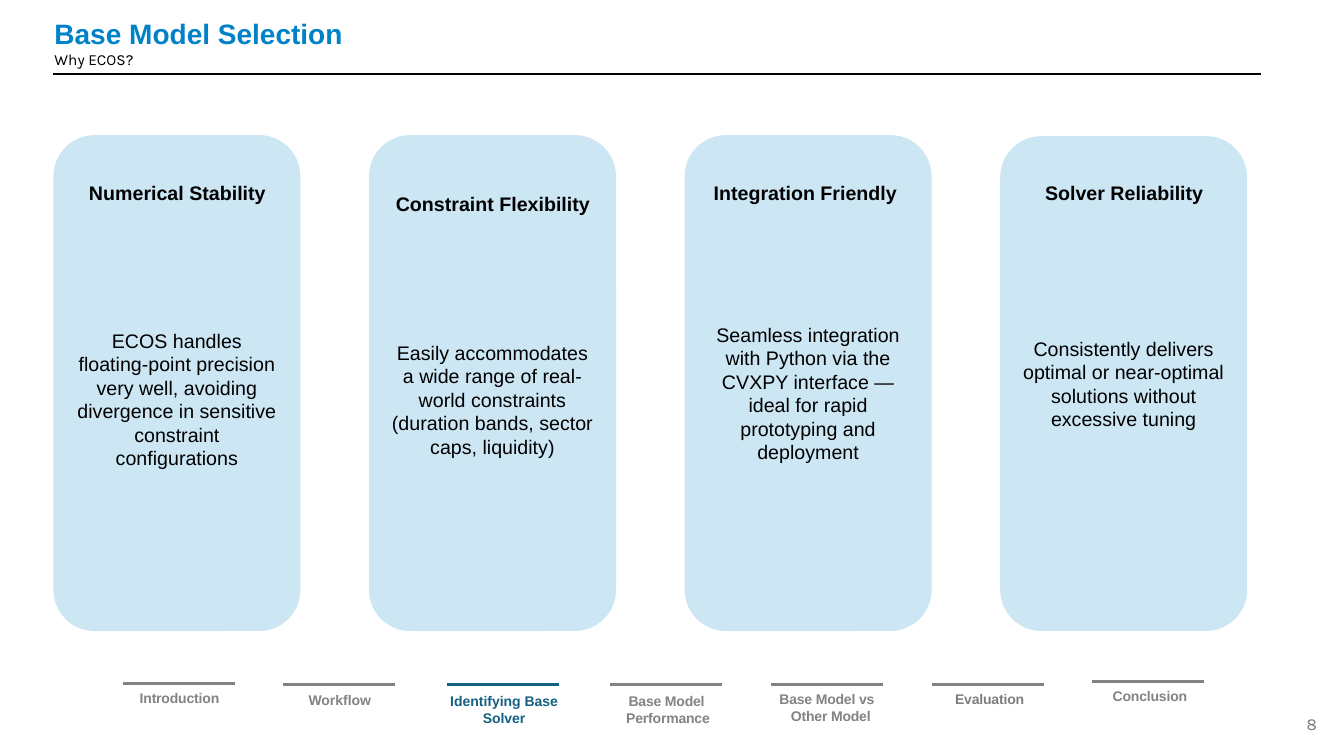
from lxml import etree
from pptx import Presentation
from pptx.dml.color import RGBColor
from pptx.enum.shapes import MSO_CONNECTOR, MSO_SHAPE
from pptx.enum.text import MSO_ANCHOR, MSO_AUTO_SIZE, PP_ALIGN
from pptx.oxml.ns import qn
from pptx.util import Inches, Pt

ROUNDED = MSO_SHAPE.ROUNDED_RECTANGLE
STRAIGHT = MSO_CONNECTOR.STRAIGHT
TOP, MIDDLE, BOTTOM = MSO_ANCHOR.TOP, MSO_ANCHOR.MIDDLE, MSO_ANCHOR.BOTTOM
GROW, FIXED = MSO_AUTO_SIZE.SHAPE_TO_FIT_TEXT, MSO_AUTO_SIZE.NONE
LEFT, CENTER, RIGHT = PP_ALIGN.LEFT, PP_ALIGN.CENTER, PP_ALIGN.RIGHT

BLACK = RGBColor(0x00, 0x00, 0x00)
BLUE = RGBColor(0x00, 0x82, 0xC8)
TEAL = RGBColor(0x15, 0x60, 0x82)
GRAY = RGBColor(0x83, 0x83, 0x83)
EVALUATION_GRAY = RGBColor(0x7E, 0x7E, 0x7E)
PAGE_GRAY = RGBColor(0x79, 0x79, 0x79)

CARD_LEFT, CARD_PITCH, CARD_WIDTH, CARD_BOTTOM = 0.53, 3.13, 2.45, 6.26
STEP_WIDTH = 1.11

CARDS = [
    (1.34, 1.80, "ECOS handles floating-point precision very well, avoiding "
     "divergence in sensitive constraint configurations",
     (0.64, 1.75, 2.24, 0.34), 1, "Numerical Stability"),
    (1.34, 1.92, "Easily accommodates a wide range of real-world constraints "
     "(duration bands, sector caps, liquidity)",
     (3.78, 1.62, 2.22, 0.5), 2, "Constraint Flexibility"),
    (1.34, 1.74, "Seamless integration with Python via the CVXPY interface — "
     "ideal for rapid prototyping and deployment",
     (6.79, 1.75, 2.45, 0.34), 1, "Integration Friendly "),
    (1.35, 1.87, "Consistently delivers optimal or near-optimal solutions "
     "without excessive tuning",
     (10.14, 1.75, 2.02, 0.34), 1, "Solver Reliability"),
]

STEPS = [
    (1.22, 6.78, (1.22, 6.83, 1.11, 0.18), 0.02, -0.01, -10, GRAY, GRAY, "Introduction"),
    (2.81, 6.79, (2.81, 6.85, 1.11, 0.18), 0.01, 0, 0, GRAY, GRAY, "Workflow"),
    (4.43, 6.79, (4.41, 6.86, 1.17, 0.35), 0.01, 0, 0, TEAL, TEAL, "Identifying Base Solver"),
    (6.05, 6.79, (6.05, 6.86, 1.11, 0.35), 0.04, -0.03, -10, GRAY, GRAY,
     "Base Model Performance"),
    (7.65, 6.79, (7.64, 6.84, 1.11, 0.35), 0.09, -0.08, -10, GRAY, GRAY,
     "Base Model vs Other Model"),
    (9.24, 6.79, (9.27, 6.84, 1.08, 0.18), 0.01, 0, -10, GRAY, EVALUATION_GRAY, "Evaluation"),
    (10.83, 6.76, (10.86, 6.81, 1.08, 0.18), 0.09, -0.08, -10, GRAY, GRAY, "Conclusion"),
]


def apply(target, formats):
    """Set each named format value on the target."""
    for name, value in formats.items():
        setattr(target, name, value)


class SlideBuilder:
    """Draws styled elements on the current slide."""

    def __init__(self, slide):
        self.slide = slide

    def styled_run(self, paragraph, text, size, color, bold=False, font="Arial", spacing=0):
        """Add one styled run to a paragraph."""
        run = paragraph.add_run()
        run.text = text
        apply(run.font, {"size": Pt(size), "bold": bold, "name": font})
        run.font.color.rgb = color
        if spacing:
            run._r.get_or_add_rPr().set("spc", str(spacing))

    def text_box(self, box, frame_formats, paragraph_formats, margin=0, indent=0):
        """Add a text box and return its paragraph."""
        frame = self.slide.shapes.add_textbox(*map(Inches, box)).text_frame
        apply(frame, {"word_wrap": True, "auto_size": GROW, **frame_formats})
        paragraph = frame.paragraphs[0]
        apply(paragraph, paragraph_formats)
        properties = paragraph._p.get_or_add_pPr()
        properties.set("marL", str(Inches(margin)))
        properties.set("indent", str(Inches(indent)))
        return paragraph

    def rule(self, left, y, width, color, weight):
        """Draw a horizontal line."""
        line = self.slide.shapes.add_connector(
            STRAIGHT, Inches(left), Inches(y), Inches(left + width), Inches(y))
        line.line.color.rgb = color
        line.line.width = Pt(weight)
        etree.SubElement(line._element.spPr, qn("a:effectLst"))

    def card(self, left, top, body_inset, body):
        """Draw a translucent rounded card with centred body text."""
        card = self.slide.shapes.add_shape(
            ROUNDED, Inches(left), Inches(top), Inches(CARD_WIDTH), Inches(CARD_BOTTOM - top))
        card.shadow.inherit = False
        card.fill.solid()
        card.fill.fore_color.rgb = BLUE
        tint = card._element.spPr.find(qn("a:solidFill"))[0]
        etree.SubElement(tint, qn("a:alpha"), val="20000")
        card.line.fill.background()
        frame = card.text_frame
        apply(frame, {"word_wrap": True, "vertical_anchor": TOP,
                      "margin_top": Inches(body_inset)})
        frame.paragraphs[0].alignment = CENTER
        self.styled_run(frame.paragraphs[0], body, 14, BLACK)

    def step(self, left, y, box, margin, indent, spacing, rule_color, color, label):
        """Draw one progress marker with its label."""
        self.rule(left, y, STEP_WIDTH, rule_color, 2)
        paragraph = self.text_box(
            box,
            {"margin_left": 0, "margin_top": Inches(0.01), "margin_right": 0, "margin_bottom": 0},
            {"alignment": CENTER, "space_before": Pt(1.1)}, margin, indent)
        self.styled_run(paragraph, label, 10, color, bold=True, spacing=spacing)


def main():
    """Build and save the slide."""
    deck = Presentation()
    apply(deck, {"slide_width": Inches(13.33), "slide_height": Inches(7.5)})
    builder = SlideBuilder(deck.slides.add_slide(deck.slide_layouts[6]))

    page = builder.text_box((10.16, 6.98, 3, 0.4),
                            {"auto_size": FIXED, "vertical_anchor": MIDDLE},
                            {"alignment": RIGHT})
    builder.styled_run(page, "8", 12, PAGE_GRAY, font="Karla")

    builder.rule(0.53, 0.73, 11.98, BLACK, 1.5)
    title = builder.text_box(
        (0.53, 0.12, 10.77, 0.56),
        {"vertical_anchor": BOTTOM, "margin_left": 0, "margin_top": Inches(0.03),
         "margin_right": 0, "margin_bottom": 0},
        {"alignment": LEFT, "space_before": Pt(2.5)}, margin=0.01)
    builder.styled_run(title, "Base Model Selection", 20, BLUE, bold=True)
    title.add_line_break()
    builder.styled_run(title, "Why ECOS?", 11, BLACK, font="Karla")

    for index, (top, body_inset, body, box, line_spacing, heading) in enumerate(CARDS):
        builder.card(CARD_LEFT + index * CARD_PITCH, top, body_inset, body)
        paragraph = builder.text_box(
            box, {}, {"alignment": CENTER, "line_spacing": float(line_spacing)})
        builder.styled_run(paragraph, heading, 14, BLACK, bold=True)

    for step in STEPS:
        builder.step(*step)

    deck.save("out.pptx")


if __name__ == "__main__":
    main()
